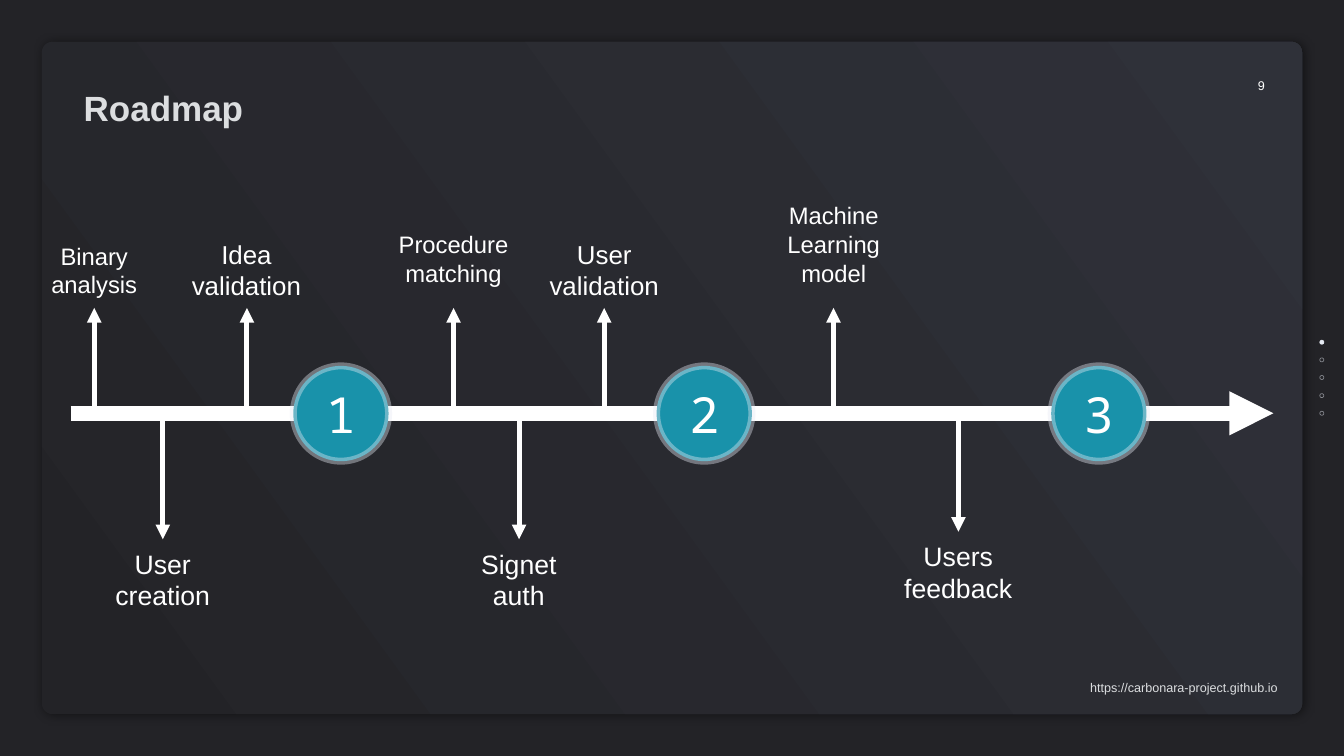
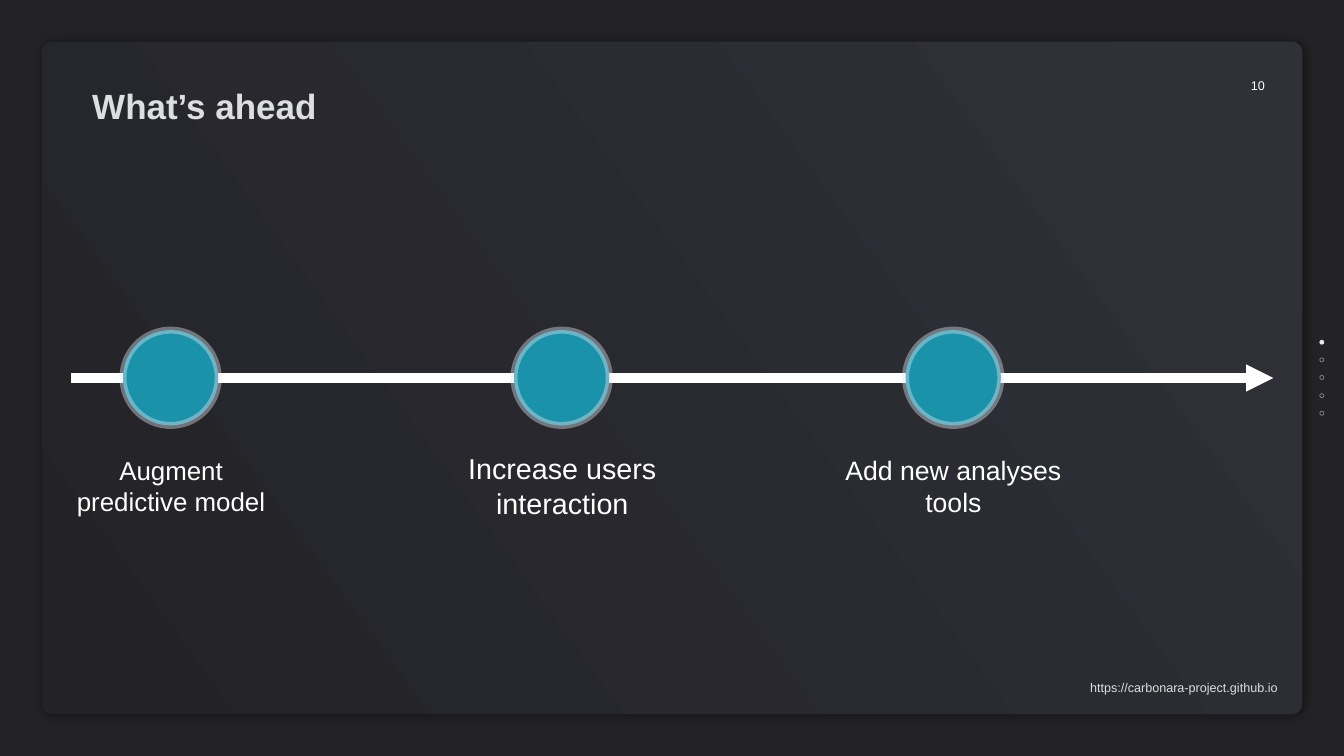
import lxml.etree
import pptx
import pptx.dml.color
import pptx.enum.shapes
import pptx.enum.text
import pptx.oxml.ns
import pptx.util

PX = 9144  # EMU per px, 100 px to the inch
COLORS = {
    "back": "232327",
    "panel_end": "2F3139",
    "title": "DCDEE0",
    "pale": "E6EAF3",
    "milestone": "1992AA",
    "white": "FFFFFF",
    "shadow": "000000",
}
SHAPE = pptx.enum.shapes.MSO_SHAPE
ALIGN = pptx.enum.text.PP_ALIGN
ANCHOR = pptx.enum.text.MSO_ANCHOR
qn = pptx.oxml.ns.qn

AXIS_LEFT, AXIS_RIGHT = 140, 2527
MILESTONE_SIZE = 189

# label lines, text size, arrow (x, start, end), label box (left, top, width, height)
BRANCHES = [
    (["Binary", "analysis"], 34, (187, 819, 611), (89, 473, 196, 125)),
    (["User", "creation"], 38, (323, 827, 1070), (222, 1080, 202, 139)),
    (["Idea", "validation"], 37, (490, 819, 611), (373, 469, 232, 133)),
    (["Procedure", "matching"], 34, (900, 819, 611), (778, 450, 244, 125)),
    (["Signet", "auth"], 38, (1030, 827, 1070), (922, 1080, 215, 139)),
    (["User", "validation"], 37, (1199, 819, 611), (1083, 469, 232, 133)),
    (["Machine", "Learning", "model"], 34, (1654, 819, 611), (1548, 393, 213, 182)),
    (["Users", "feedback"], 38, (1902, 812, 1055), (1784, 1065, 235, 139)),
]
# label lines, text size, label box
NEXT_STEPS = [
    (["Augment", "predictive model"], 37, (141, 897, 397, 133)),
    (["Increase users", "interaction"], 41, (906, 890, 420, 147)),
    (["Add new analyses", "tools"], 38, (1623, 894, 538, 139)),
]


def px(*lengths):
    return [pptx.util.Emu(length * PX) for length in lengths]


def rgb(name):
    return pptx.dml.color.RGBColor.from_string(COLORS[name])


def set_values(target, values):
    for name, value in values.items():
        setattr(target, name, value)


def set_alpha(parent, percent):
    """Make the one solid colour found under parent partly transparent."""
    color = next(parent.iter(qn("a:srgbClr")))
    lxml.etree.SubElement(color, qn("a:alpha"), val=str(percent * 1000))


def write(shape, lines, size, color="white", align=ALIGN.CENTER, bold=False,
          font="Arial", anchor=ANCHOR.MIDDLE, inset=6, wrap=False):
    frame = shape.text_frame
    margin = px(inset)[0]
    set_values(frame, {
        "text": "\n".join(lines),
        "word_wrap": wrap,
        "vertical_anchor": anchor,
        "margin_left": margin,
        "margin_right": margin,
        "margin_top": margin,
        "margin_bottom": margin,
    })
    for para in frame.paragraphs:
        para.alignment = align
        for span in para.runs:
            set_values(span.font, {"name": font, "size": pptx.util.Pt(size), "bold": bold})
            span.font.color.rgb = rgb(color)


def add_text(page, box, lines, size, **style):
    write(page.shapes.add_textbox(*px(*box)), lines, size, **style)


def add_ellipse(page, box, fill, line_width, line_alpha=None):
    ellipse = page.shapes.add_shape(SHAPE.OVAL, *px(*box))
    ellipse.shadow.inherit = False
    if fill:
        ellipse.fill.solid()
        ellipse.fill.fore_color.rgb = rgb(fill)
    else:
        ellipse.fill.background()
    ellipse.line.color.rgb = rgb("pale")
    ellipse.line.width = pptx.util.Pt(line_width)
    if line_alpha:
        set_alpha(ellipse.element.spPr.find(qn("a:ln")), line_alpha)
    return ellipse


def add_arrow(page, start, end, width):
    arrow = page.shapes.add_connector(
        pptx.enum.shapes.MSO_CONNECTOR.STRAIGHT, *px(*start, *end))
    arrow.line.color.rgb = rgb("white")
    arrow.line.width = pptx.util.Pt(width)
    properties = arrow.element.spPr
    lxml.etree.SubElement(properties.find(qn("a:ln")), qn("a:tailEnd"), type="triangle")
    lxml.etree.SubElement(properties, qn("a:effectLst"))


def add_milestone(page, left, top, number=None):
    circle = add_ellipse(page, (left, top, MILESTONE_SIZE, MILESTONE_SIZE),
                         "milestone", 10, 40)
    if number:
        write(circle, [str(number)], 71, font="Noto Sans Mono", inset=0)


def add_panel(page):
    panel = page.shapes.add_shape(SHAPE.ROUNDED_RECTANGLE, *px(83, 83, 2501, 1334))
    panel.adjustments[0] = 0.016
    panel.line.fill.background()
    panel.fill.gradient()
    panel.fill.gradient_angle = 36
    for stop, color in zip(panel.fill.gradient_stops, ("back", "panel_end")):
        stop.color.rgb = rgb(color)
    panel.shadow.inherit = False
    effects = panel.element.spPr.find(qn("a:effectLst"))
    shadow = lxml.etree.SubElement(
        effects, qn("a:outerShdw"), blurRad=str(pptx.util.Pt(14)),
        dist=str(pptx.util.Pt(3.7)), dir=str(38 * 60000), rotWithShape="0")
    lxml.etree.SubElement(shadow, qn("a:srgbClr"), val=COLORS["shadow"])
    set_alpha(shadow, 50)


def add_page(deck, title, title_box, number):
    """Add a slide with the shared panel, address, side dots, number and title."""
    page = deck.slides.add_slide(deck.slide_layouts[5])
    add_panel(page)
    add_text(page, (2157, 1342, 385, 42), ["https://carbonara-project.github.io"], 18,
             color="title", align=ALIGN.LEFT)
    for index in range(5):
        box = (2619, 675 + round(35.25 * index), 8, 8)
        if index == 0:
            add_ellipse(page, box, "pale", 1)
        else:
            add_ellipse(page, box, None, 1, 51)
    width = 12 + 14 * len(number)
    add_text(page, (2516 - width, 149, width, 42), [number], 18,
             align=ALIGN.RIGHT, anchor=ANCHOR.TOP)

    heading = page.shapes.title
    heading.element.getparent().append(heading.element)  # in front of the panel
    set_values(heading, dict(zip(("left", "top", "width", "height"), px(*title_box))))
    write(heading, [title], 50, color="title", align=ALIGN.LEFT, bold=True, wrap=True)
    return page


def add_roadmap(deck):
    page = add_page(deck, "Roadmap", (160, 166, 452, 94), "9")
    add_arrow(page, (AXIS_LEFT, 820), (AXIS_RIGHT, 820), 21)
    for lines, size, (x, start, end), box in BRANCHES:
        add_arrow(page, (x, start), (x, end), 7)
        add_text(page, box, lines, size)
    for number, left in enumerate((582, 1303, 2086), 1):
        add_milestone(page, left, 726, number)


def add_ahead(deck):
    page = add_page(deck, "What’s ahead", (177, 163, 630, 94), "10")
    add_arrow(page, (AXIS_LEFT, 750), (AXIS_RIGHT, 750), 13)
    for index, (lines, size, box) in enumerate(NEXT_STEPS):
        add_text(page, box, lines, size)
        add_milestone(page, 244 + round(776.5 * index), 655)


def main():
    deck = pptx.Presentation()
    deck.slide_width, deck.slide_height = px(2667, 1500)
    background = deck.slide_master.background.fill
    background.solid()
    background.fore_color.rgb = rgb("back")
    add_roadmap(deck)
    add_ahead(deck)
    deck.save("out.pptx")


if __name__ == "__main__":
    main()
